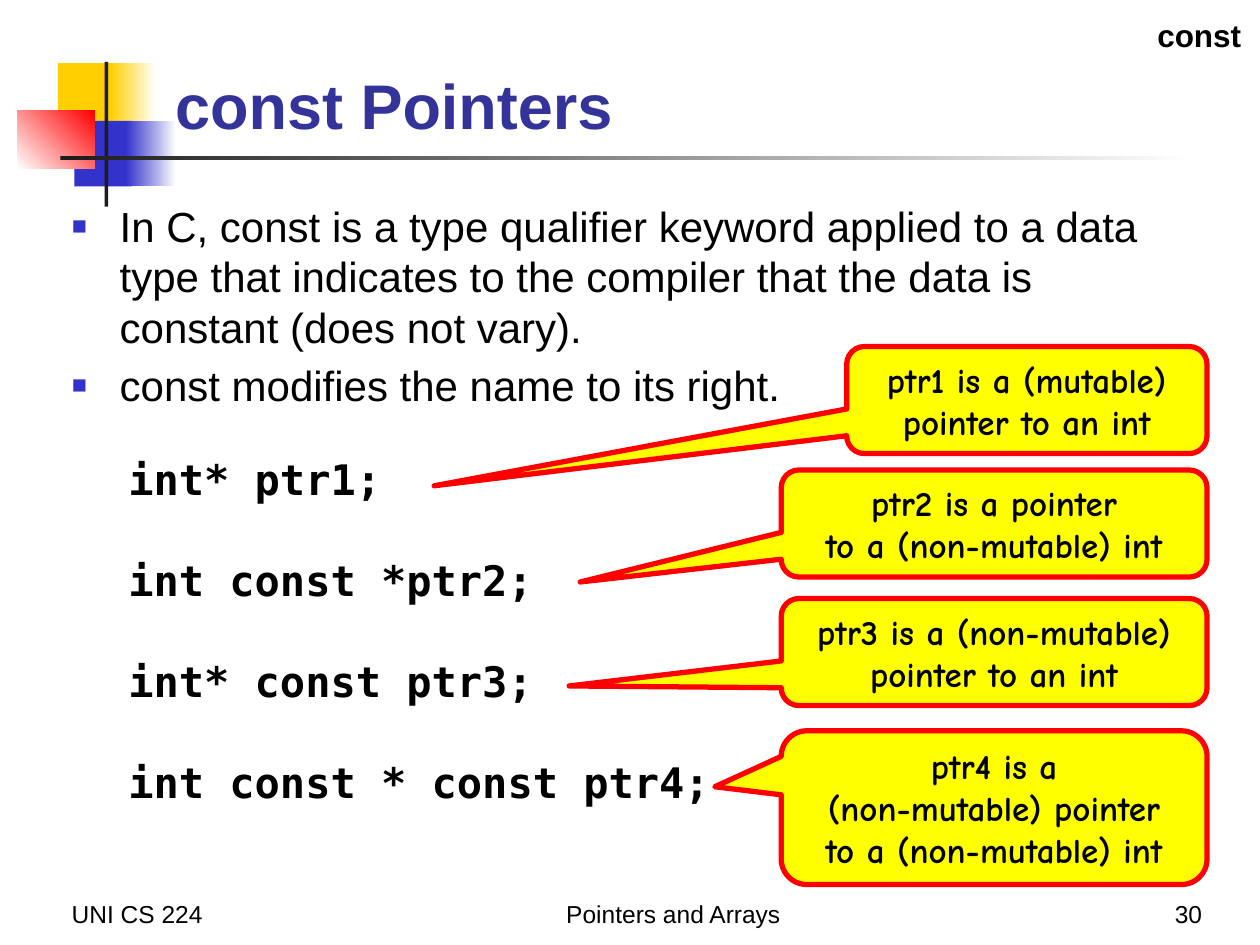
from dataclasses import dataclass

from lxml import etree
from pptx import Presentation
from pptx.dml.color import RGBColor
from pptx.enum.shapes import MSO_SHAPE
from pptx.enum.text import MSO_ANCHOR, MSO_AUTO_SIZE, PP_ALIGN
from pptx.oxml.ns import qn
from pptx.util import Inches, Pt

RECT = MSO_SHAPE.RECTANGLE
CALL = MSO_SHAPE.ROUNDED_RECTANGULAR_CALLOUT
TOP, MID, LOW = MSO_ANCHOR.TOP, MSO_ANCHOR.MIDDLE, MSO_ANCHOR.BOTTOM
FIXED = MSO_AUTO_SIZE.NONE
LEFT, CENTER, RIGHT = PP_ALIGN.LEFT, PP_ALIGN.CENTER, PP_ALIGN.RIGHT
CELL = Inches(0.1)


@dataclass(frozen=True)
class Theme:
    black: str = "000000"
    white: str = "FFFFFF"
    dark: str = "1C1C1C"
    gold: str = "FFCF01"
    blue: str = "3333CC"
    navy: str = "333399"
    red: str = "FF0000"
    yellow: str = "FFFF00"
    sans: str = "Arial"
    comic: str = "Comic Neue"
    mono: str = "DejaVu Sans Mono"
    head: int = 36
    main: int = 24
    note: int = 20
    tag: int = 18
    foot: int = 14


def color(code):
    return RGBColor.from_string(code)


def write(frame, text, font, size, ink, bold=False, align=LEFT, anchor=TOP, wrap=True, gap=None):
    frame.auto_size = FIXED
    frame.word_wrap = wrap
    frame.vertical_anchor = anchor
    for num, line in enumerate(text.split("\n")):
        para = frame.add_paragraph() if num else frame.paragraphs[0]
        para.alignment = align
        if num and gap:
            para.space_before = Pt(gap)
        run = para.add_run()
        run.text = line
        run.font.name = font
        run.font.size = Pt(size)
        run.font.bold = bold
        run.font.color.rgb = color(ink)


class Deck:
    def __init__(self, theme):
        self.theme = theme
        self.file = Presentation()
        self.file.slide_width = 100 * CELL
        self.file.slide_height = 75 * CELL
        self.slide = self.file.slides.add_slide(self.file.slide_layouts[1])

    def span(self, box):
        return [round(part * CELL) for part in box]

    def place(self, item, box):
        item.left, item.top, item.width, item.height = self.span(box)
        return item.text_frame

    def block(self, box, first, last=None, angle=0, kind=RECT):
        shape = self.slide.shapes.add_shape(kind, *self.span(box))
        shape.shadow.inherit = False
        shape.line.fill.background()
        if last:
            shape.fill.gradient()
            shape.fill.gradient_angle = angle
            for stop, code in zip(shape.fill.gradient_stops, (first, last)):
                stop.color.rgb = color(code)
        else:
            shape.fill.solid()
            shape.fill.fore_color.rgb = color(first)
        return shape

    def title(self, box, text):
        look = self.theme
        frame = self.place(self.slide.shapes.title, box)
        write(frame, text, look.sans, look.head, look.navy, bold=True, anchor=LOW)

    def list(self, box, text):
        look = self.theme
        frame = self.place(self.slide.placeholders[1], box)
        write(frame, text, look.sans, look.main, look.black)
        for para in frame.paragraphs:
            props = para._p.get_or_add_pPr()
            props.set("marL", str(Inches(0.38)))
            props.set("indent", str(-Inches(0.38)))
            tint = etree.SubElement(props, qn("a:buClr"))
            etree.SubElement(tint, qn("a:srgbClr"), val=look.blue)
            etree.SubElement(props, qn("a:buSzPct"), val="60000")
            etree.SubElement(props, qn("a:buFont"), typeface=look.sans)
            etree.SubElement(props, qn("a:buChar"), char="■")

    def label(self, box, text, size, font=None, **style):
        look = self.theme
        frame = self.slide.shapes.add_textbox(*self.span(box)).text_frame
        write(frame, text, font or look.sans, size, look.black, **style)

    def callout(self, box, tip, text):
        look = self.theme
        shape = self.block(box, look.yellow, kind=CALL)
        shape.line.color.rgb = color(look.red)
        shape.line.width = Pt(3)
        shape.adjustments[0], shape.adjustments[1] = tip
        write(shape.text_frame, text, look.comic, look.note, look.black,
              bold=True, align=CENTER, anchor=MID, wrap=False)


def main():
    look = Theme()
    deck = Deck(look)
    blocks = [
        ((4.6, 5, 4.8, 5.2), look.gold),
        ((8.8, 5, 3.6, 5.2), look.gold, look.white),
        ((5.9, 9.6, 4.6, 5.2), look.blue),
        ((10, 9.6, 4, 5.2), look.blue, look.white),
        ((1.4, 8.8, 6.1, 4.6), look.white, look.red, 45),
        ((8.3, 4.9, 0.3, 11.5), look.dark),
        ((4.8, 12.4, 90, 0.3), look.dark, look.white),
    ]
    for block in blocks:
        deck.block(*block)

    feet = [
        (4.7, 20.8, "UNI CS 224", LEFT),
        (27.8, 51.3, "Pointers and Arrays", CENTER),
        (75.6, 20.8, "30", RIGHT),
    ]
    for left, width, text, align in feet:
        deck.label((left, 69.2, width, 5), text, look.foot, align=align, anchor=LOW)

    deck.title((12.9, 2.3, 85.2, 9.5), "const Pointers")
    deck.list((4.7, 15.4, 91.3, 17.5),
              "In C, const is a type qualifier keyword applied to a data type that "
              "indicates to the compiler that the data is constant (does not vary).\n"
              "const modifies the name to its right.")
    deck.label((9.2, 35.5, 88, 29.3),
               "int* ptr1;\nint const *ptr2;\nint* const ptr3;\nint const * const ptr4;",
               look.main, font=look.mono, bold=True, gap=29)
    deck.label((59.3, 0.8, 40.2, 4), "const", look.tag, bold=True, align=RIGHT)

    edge = 95.8
    notes = [
        (67.2, 27.5, 8.5, (-1.645, 0.801), "ptr1 is a (mutable)\npointer to an int"),
        (62, 37.3, 8.5, (-0.972, 0.546), "ptr2 is a pointer\nto a (non-mutable) int"),
        (62, 47.5, 8.5, (-0.998, 0.317), "ptr3 is a (non-mutable)\npointer to an int"),
        (62, 58, 12.2, (-0.656, -0.136),
         "ptr4 is a\n(non-mutable) pointer\nto a (non-mutable) int"),
    ]
    for left, top, height, tip, text in notes:
        deck.callout((left, top, edge - left, height), tip, text)

    deck.file.save("out.pptx")


main()
